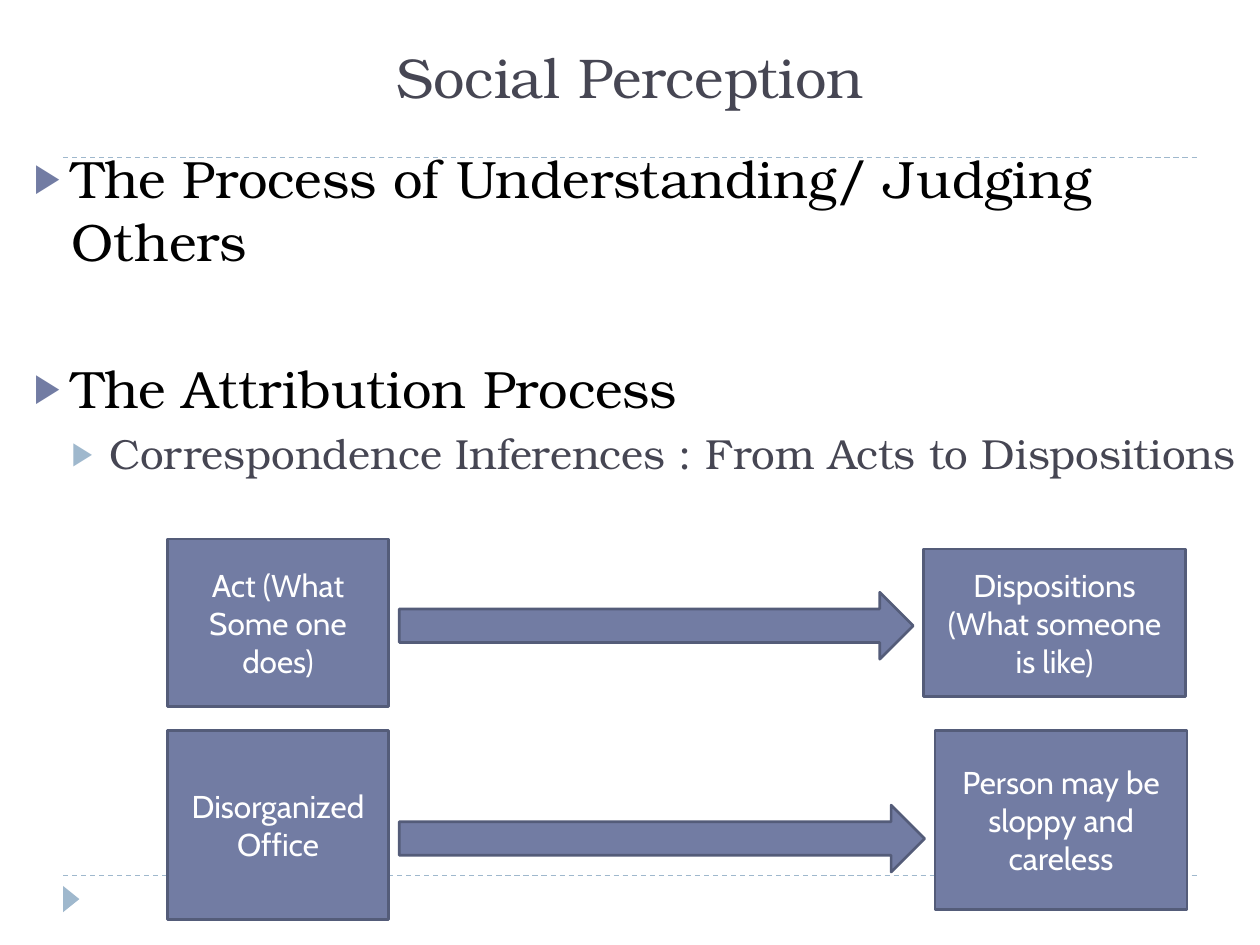
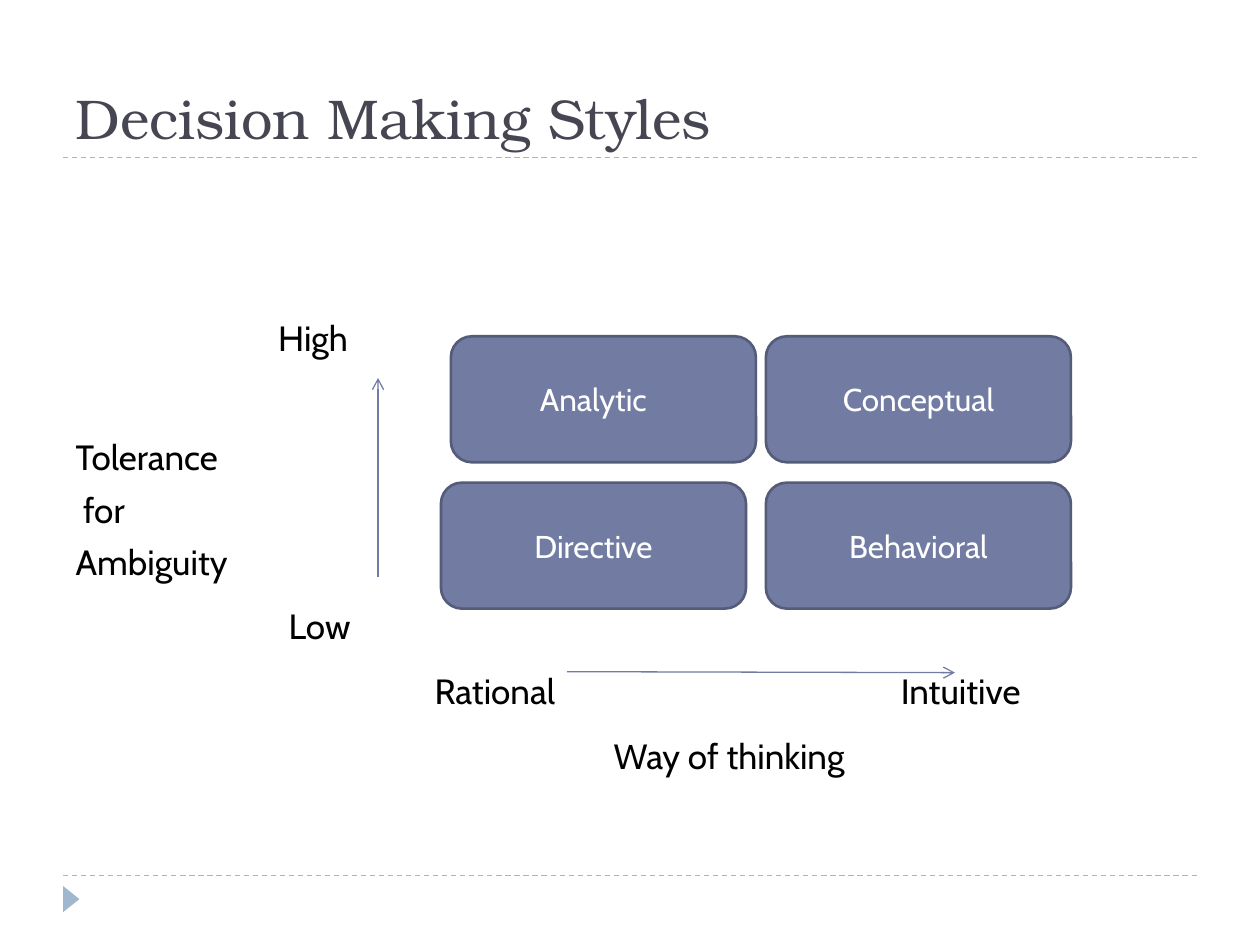
from dataclasses import dataclass

from lxml import etree
from pptx import Presentation
from pptx import util as u
from pptx.dml.color import RGBColor
from pptx.enum import dml, shapes, text
from pptx.oxml import ns


@dataclass(frozen=True)
class Theme:
    heading_font: str = "TeX Gyre Bonum"
    body_font: str = "Cabin"
    dark: str = "464653"
    black: str = "000000"
    white: str = "FFFFFF"
    accent: str = "727CA3"
    outline: str = "545C79"
    pale: str = "9FB8CD"
    title_size: int = 32
    point_size: int = 30
    subpoint_size: int = 24
    label_size: int = 20
    box_size: int = 18


THEME = Theme()
SHAPE = shapes.MSO_SHAPE
LEFT, CENTER = text.PP_ALIGN.LEFT, text.PP_ALIGN.CENTER


def color(value):
    return RGBColor.from_string(value)


def place(shape, left, top, width, height):
    shape.left, shape.top = u.Cm(left), u.Cm(top)
    shape.width, shape.height = u.Cm(width), u.Cm(height)


def format_runs(paragraph, font_name, size, font_color):
    for run in paragraph.runs:
        run.font.name = font_name
        run.font.size = u.Pt(size)
        run.font.color.rgb = color(font_color)


def add_xml(parent, tag, **attributes):
    return etree.SubElement(parent, ns.qn(tag), attributes)


def set_bullet(paragraph, indent, hanging, bullet_color=None):
    """Indent a paragraph (cm) and give it a triangle, or no bullet without a colour."""
    properties = paragraph._p.get_or_add_pPr()
    properties.set("marL", str(u.Cm(indent)))
    properties.set("indent", str(-u.Cm(hanging)))
    if bullet_color is None:
        add_xml(properties, "a:buNone")
        return
    add_xml(add_xml(properties, "a:buClr"), "a:srgbClr", val=bullet_color)
    add_xml(properties, "a:buSzPct", val="76000")
    add_xml(properties, "a:buChar", char="▶")


def add_line(slide, start, end, line_color, dashed=False, arrow=False):
    points = [u.Cm(value) for value in (*start, *end)]
    connector = slide.shapes.add_connector(shapes.MSO_CONNECTOR.STRAIGHT, *points)
    connector.line.color.rgb = color(line_color)
    connector.line.width = u.Pt(0.75)
    if dashed:
        connector.line.dash_style = dml.MSO_LINE.DASH
    if arrow:
        add_xml(connector.line._get_or_add_ln(), "a:tailEnd", type="arrow")
    add_xml(connector._element.spPr, "a:effectLst")


def add_block(slide, kind, position, caption="", extra_right=0):
    """Add a filled shape; extra_right (cm) widens the right margin of its caption."""
    block = slide.shapes.add_shape(kind, *map(u.Cm, position))
    block.shadow.inherit = False
    block.fill.solid()
    block.fill.fore_color.rgb = color(THEME.accent)
    block.line.color.rgb = color(THEME.outline)
    block.line.width = u.Pt(1.5)
    if caption:
        frame = block.text_frame
        frame.word_wrap = True
        frame.vertical_anchor = text.MSO_ANCHOR.MIDDLE
        frame.margin_right += u.Cm(extra_right)
        frame.text = caption
        frame.paragraphs[0].alignment = CENTER
        format_runs(frame.paragraphs[0], THEME.body_font, THEME.box_size, THEME.white)


def add_label(slide, caption, left, top):
    label = slide.shapes.add_textbox(u.Cm(left), u.Cm(top), u.Cm(5), u.Cm(0.85))
    frame = label.text_frame
    frame.margin_left = frame.margin_top = frame.margin_right = frame.margin_bottom = 0
    frame.word_wrap = True
    frame.text = caption
    format_runs(frame.paragraphs[0], THEME.body_font, THEME.label_size, THEME.black)


def add_base_slide(presentation, title, title_position, alignment):
    """Add a slide with the dashed rules, corner triangle and title all slides share."""
    slide = presentation.slides.add_slide(presentation.slide_layouts[1])
    for top in (17.65, 3.18):
        add_line(slide, (1.27, top), (24.13, top), THEME.pale, dashed=True)
    corner = slide.shapes.add_shape(
        SHAPE.ISOSCELES_TRIANGLE, *map(u.Cm, (1.17, 17.96, 0.53, 0.33)))
    corner.rotation = 90
    corner.shadow.inherit = False
    corner.fill.solid()
    corner.fill.fore_color.rgb = color(THEME.pale)
    corner.line.fill.background()

    place(slide.shapes.title, *title_position)
    frame = slide.shapes.title.text_frame
    frame.auto_size = text.MSO_AUTO_SIZE.NONE
    frame.vertical_anchor = text.MSO_ANCHOR.BOTTOM
    frame.text = title
    frame.paragraphs[0].alignment = alignment
    format_runs(frame.paragraphs[0], THEME.heading_font, THEME.title_size, THEME.dark)
    return slide


def fill_body(slide, position, lines):
    """Write the lines into the body placeholder and return its paragraphs."""
    body = slide.placeholders[1]
    place(body, *position)
    frame = body.text_frame
    frame.auto_size = text.MSO_AUTO_SIZE.NONE
    frame.text = "\n".join(lines)
    return frame.paragraphs


def add_perception_slide(presentation):
    slide = add_base_slide(
        presentation, "Social Perception", (0.43, 0.43, 24.56, 1.9), CENTER)
    points = (
        ("The Process of Understanding/ Judging Others", 0, 0),
        ("The Attribution Process", 0, 48),
        ("Correspondence Inferences : From Acts to Dispositions", 1, 5),
    )
    level_styles = (
        (THEME.point_size, THEME.black, THEME.accent),
        (THEME.subpoint_size, THEME.dark, THEME.pale),
    )
    paragraphs = fill_body(slide, (0.43, 2.82, 24.97, 14.3), [point[0] for point in points])
    for paragraph, (_, level, space) in zip(paragraphs, points):
        size, font_color, bullet_color = level_styles[level]
        paragraph.level = level
        set_bullet(paragraph, 0.76 * (level + 1), 0.76, bullet_color)
        paragraph.space_before = u.Pt(space)
        format_runs(paragraph, THEME.heading_font, size, font_color)

    inferences = (
        ("Act (What Some one does)", (3.38, 10.87, 4.45, 3.38),
         (8.05, 11.94, 10.36, 1.35),
         "Dispositions (What someone is like)", (18.62, 11.07, 5.28, 2.97)),
        ("Disorganized Office", (3.38, 14.73, 4.45, 3.81),
         (8.05, 16.23, 10.59, 1.35),
         "Person may be sloppy and careless", (18.85, 14.73, 5.08, 3.61)),
    )
    for act, act_position, arrow_position, disposition, disposition_position in inferences:
        add_block(slide, SHAPE.RECTANGLE, act_position, act)
        add_block(slide, SHAPE.RIGHT_ARROW, arrow_position)
        add_block(slide, SHAPE.RECTANGLE, disposition_position, disposition)


def add_styles_slide(presentation):
    slide = add_base_slide(
        presentation, "Decision Making Styles", (1.27, 0.43, 22.86, 2.74), LEFT)
    paragraphs = fill_body(
        slide, (1.27, 8.66, 4.2, 4.2), ("Tolerance", "for", "Ambiguity"))
    for paragraph, indent, space in zip(paragraphs, (0, 0.15, 0), (0, 6, 6)):
        set_bullet(paragraph, indent, 0)
        paragraph.space_before = u.Pt(space)
        format_runs(paragraph, THEME.body_font, THEME.label_size, THEME.black)

    for caption, left, top in (
        ("High", 5.61, 6.38),
        ("Low", 5.82, 12.19),
        ("Rational", 8.76, 13.49),
        ("Intuitive", 18.16, 13.49),
        ("Way of thinking", 12.37, 14.81),
    ):
        add_label(slide, caption, left, top)

    for caption, left, top, extra_right in (
        ("Analytic", 9.09, 6.78, 0.4),
        ("Conceptual", 15.44, 6.78, 0),
        ("Directive", 8.89, 9.73, 0),
        ("Behavioral", 15.44, 9.73, 0),
    ):
        add_block(slide, SHAPE.ROUNDED_RECTANGLE, (left, top, 6.15, 2.54),
                  caption, extra_right)

    add_line(slide, (11.43, 13.54), (19.25, 13.56), THEME.accent, arrow=True)
    add_line(slide, (7.62, 11.63), (7.62, 7.62), THEME.accent, arrow=True)


def main():
    presentation = Presentation()
    presentation.slide_width, presentation.slide_height = u.Cm(25.4), u.Cm(19.05)
    add_perception_slide(presentation)
    add_styles_slide(presentation)
    presentation.save("out.pptx")


if __name__ == "__main__":
    main()
